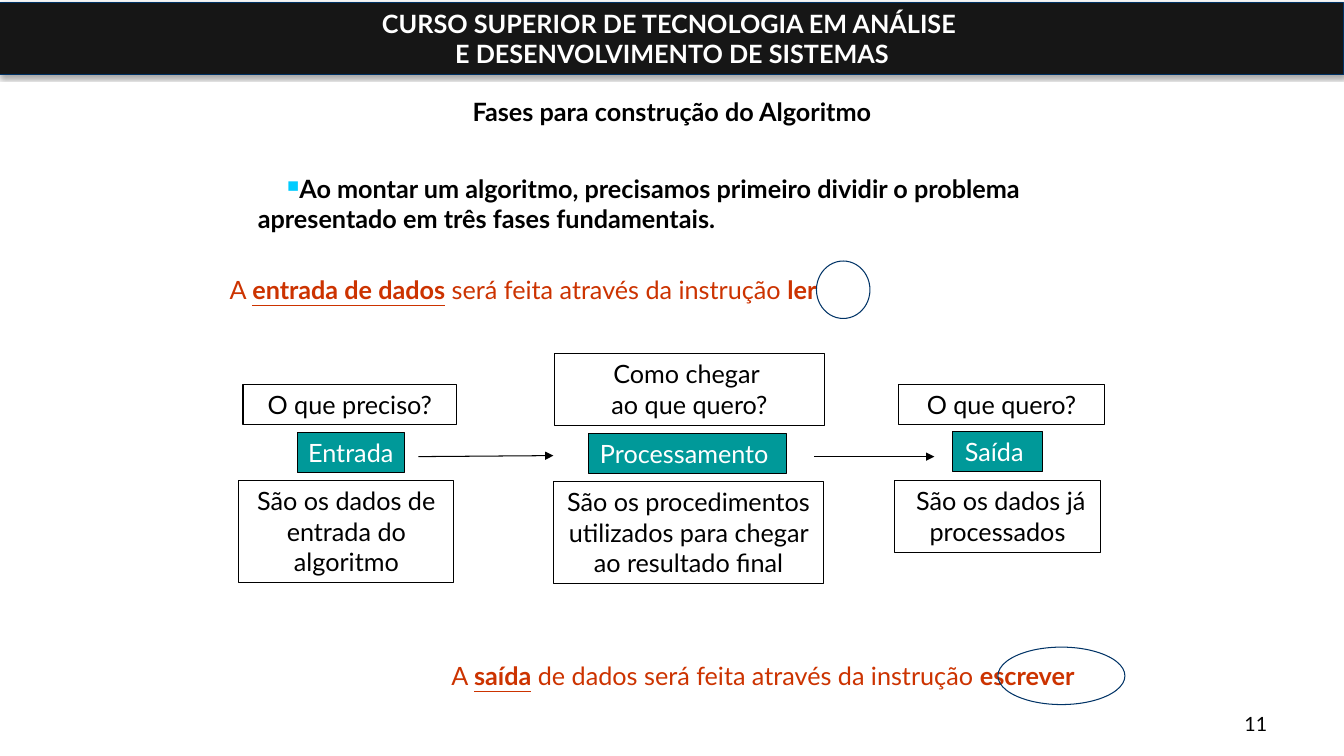
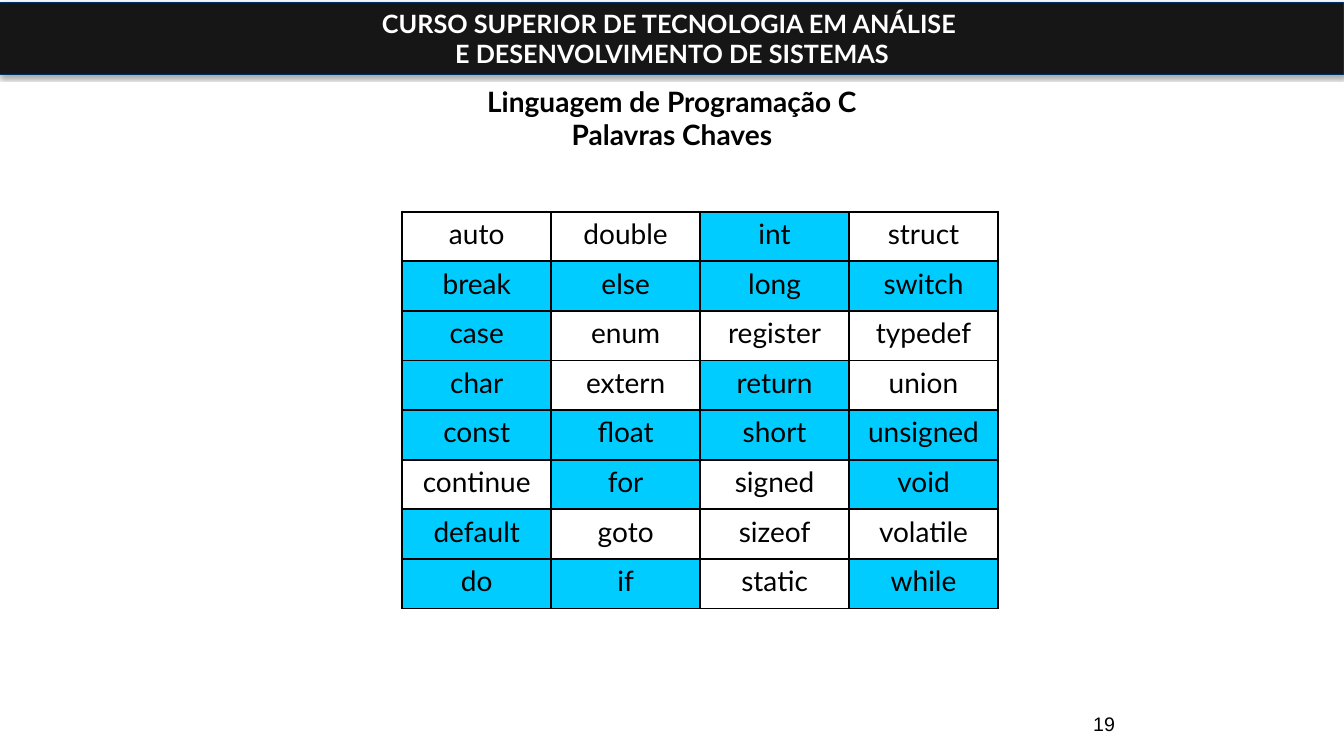
from lxml import etree
from pptx import Presentation
from pptx.dml.color import RGBColor
from pptx.enum.shapes import MSO_CONNECTOR, MSO_SHAPE
from pptx.enum.text import MSO_ANCHOR, PP_ALIGN
from pptx.oxml.ns import qn
from pptx.util import Inches, Pt

RECT, OVAL = MSO_SHAPE.RECTANGLE, MSO_SHAPE.OVAL
LINE = MSO_CONNECTOR.STRAIGHT
LEFT, MID, RIGHT = PP_ALIGN.LEFT, PP_ALIGN.CENTER, PP_ALIGN.RIGHT
TOP, HALF, LOW = MSO_ANCHOR.TOP, MSO_ANCHOR.MIDDLE, MSO_ANCHOR.BOTTOM

WIDE, HIGH = Inches(13.33), Inches(7.5)
FONT = "Lato"
HUES = {
    "band": "161616", "edge": "003264", "ring": "003366", "ink": "000000",
    "white": "FFFFFF", "teal": "009999", "red": "CC3300", "cyan": "00CCFF",
}
COURSE = ["CURSO SUPERIOR DE TECNOLOGIA EM ANÁLISE ",
          "E DESENVOLVIMENTO DE SISTEMAS"]
WORDS = [
    "auto double int struct",
    "break else long switch",
    "case enum register typedef",
    "char extern return union",
    "const float short unsigned",
    "continue for signed void",
    "default goto sizeof volatile",
    "do if static while",
]
PLAIN = set("auto double struct enum register typedef extern union continue "
            "signed goto sizeof volatile static".split())


def hue(key):
    return RGBColor.from_string(HUES[key])


def across(share):
    return round(WIDE * share / 100)


def down(share):
    return round(HIGH * share / 100)


def area(box):
    x, y, w, h = box
    return across(x), down(y), across(w), down(h)


def node(root, tag, **attrs):
    return etree.SubElement(root, qn(tag), attrs)


def tint(root, key):
    return node(node(root, "a:solidFill"), "a:srgbClr", val=HUES[key])


def write(frame, paras, ink="ink", size=18, align=MID, anchor=TOP,
          font=FONT, bold=False, wrap=True):
    frame.word_wrap = wrap
    frame.vertical_anchor = anchor
    for i, runs in enumerate(paras):
        para = frame.paragraphs[0] if i == 0 else frame.add_paragraph()
        para.alignment = align
        for text, mark in [(runs, "")] if isinstance(runs, str) else runs:
            run = para.add_run()
            run.text = text
            run.font.name = font
            run.font.size = Pt(size)
            run.font.bold = bold or "b" in mark
            run.font.underline = "u" in mark
            run.font.color.rgb = hue(ink)


def label(slide, box, paras, **style):
    frame = slide.shapes.add_textbox(*area(box)).text_frame
    write(frame, paras, **style)
    return frame


def shape(slide, kind, box, fill=None, edge="ink"):
    item = slide.shapes.add_shape(kind, *area(box))
    item.shadow.inherit = False
    if fill:
        item.fill.solid()
        item.fill.fore_color.rgb = hue(fill)
    else:
        item.fill.background()
    item.line.color.rgb = hue(edge)
    item.line.width = Pt(0.75)
    return item


def panel(slide, box, paras, fill=None, **style):
    write(shape(slide, RECT, box, fill).text_frame, paras, **style)


def arrow(slide, x, y, end, stop):
    item = slide.shapes.add_connector(
        LINE, across(x), down(y), across(end), down(stop))
    item.line.color.rgb = hue("ink")
    item.line.width = Pt(0.75)
    node(item.line._get_or_add_ln(), "a:tailEnd", type="triangle")
    node(item._element.spPr, "a:effectLst")


def bullet(para):
    props = para._p.get_or_add_pPr()
    props.set("marL", str(Inches(0.2)))
    props.set("indent", str(Inches(0.29)))
    node(node(props, "a:buClr"), "a:srgbClr", val=HUES["cyan"])
    node(props, "a:buSzPct", val="65000")
    node(props, "a:buChar", char="■")


def band(slide):
    bar = shape(slide, RECT, (0, 0.4, 100, 9.47), "band", "edge")
    glow = node(bar._element.spPr.find(qn("a:effectLst")), "a:outerShdw",
                blurRad=str(Pt(3.1)), dist=str(Pt(1.8)), dir="5400000",
                rotWithShape="0")
    node(tint_free(glow), "a:alpha", val="35000")
    write(bar.text_frame, COURSE, "white", anchor=HALF, bold=True)


def tint_free(root):
    return node(root, "a:srgbClr", val=HUES["ink"])


def page(deck, number, x, w, font):
    slide = deck.slides.add_slide(deck.slide_layouts[6])
    band(slide)
    label(slide, (x, 91.07, w, 6.93), [number], size=14, align=RIGHT,
          anchor=LOW, font=font)
    return slide


def frame_cell(cell):
    props = cell._tc.get_or_add_tcPr()
    for i, side in enumerate(("a:lnL", "a:lnR", "a:lnT", "a:lnB")):
        edge = etree.Element(qn(side), {"w": str(Pt(1.5))})
        tint(edge, "ink")
        props.insert(i, edge)


def grid(slide, box, rows):
    cols = len(rows[0].split())
    table = slide.shapes.add_table(len(rows), cols, *area(box)).table
    table.first_row = table.horz_banding = False
    for r, row in enumerate(rows):
        for c, word in enumerate(row.split()):
            cell = table.cell(r, c)
            cell.fill.solid()
            cell.fill.fore_color.rgb = hue("white" if word in PLAIN else "cyan")
            write(cell.text_frame, [word], size=20)
            frame_cell(cell)


def phases(deck):
    slide = page(deck, "11", 71.7, 23.33, FONT)
    label(slide, (12.5, 12.13, 75, 11.47),
          ["Fases para construção do Algoritmo"], bold=True)
    body = label(slide, (16.95, 22.27, 67.5, 9),
                 ["Ao montar um algoritmo, precisamos primeiro dividir o "
                  "problema apresentado em três fases fundamentais."],
                 align=LEFT, bold=True)
    bullet(body.paragraphs[0])

    for box, name in [
        ((22.13, 57.2, 7.95, 5.33), "Entrada"),
        ((43.8, 57.33, 14.7, 5.33), "Processamento "),
        ((70.88, 57.07, 6.68, 5.33), "Saída "),
    ]:
        panel(slide, box, [name], "teal", ink="white", anchor=HALF, wrap=False)
    arrow(slide, 31.13, 60.4, 41.18, 60.27)
    arrow(slide, 60.6, 60.4, 69.53, 60.4)
    for box, paras in [
        ((17.78, 63.6, 15.98, 13.47), ["São os dados de entrada do algoritmo"]),
        ((41.18, 63.73, 20.1, 13.47),
         ["São os procedimentos utilizados para chegar ao resultado final"]),
        ((66.53, 63.6, 15.38, 9.47), [" São os dados já processados"]),
        ((18.08, 50.8, 15.9, 5.33), ["O que preciso?"]),
        ((41.25, 46.8, 20.1, 9.47), ["Como chegar ", "ao que quero?"]),
        ((66.83, 50.8, 15.38, 5.33), ["O que quero?"]),
    ]:
        panel(slide, box, paras)

    for box, runs in [
        ((16.35, 35.6, 48.68, 5.33),
         [("A ", ""), ("entrada de dados", "bu"),
          (" será feita através da instrução ", ""), ("ler", "b")]),
        ((32.85, 86.67, 50.93, 5.33),
         [("A ", ""), ("saída", "bu"),
          (" de dados será feita através da instrução ", ""),
          ("escrever", "b")]),
    ]:
        label(slide, box, [runs], ink="red", align=LEFT)
    for box in [(60.75, 34.53, 3.98, 7.6), (74.25, 85.6, 9.45, 7.6)]:
        shape(slide, OVAL, box, edge="ring")


def keywords(deck):
    slide = page(deck, "19", 66.23, 17.48, "Arial")
    label(slide, (5, 5.6, 90, 20),
          ["Linguagem de Programação C", "Palavras Chaves"],
          size=20, anchor=HALF, bold=True)
    grid(slide, (29.93, 28, 44.33, 52.53), WORDS)


def main():
    deck = Presentation()
    deck.slide_width, deck.slide_height = WIDE, HIGH
    phases(deck)
    keywords(deck)
    deck.save("out.pptx")


if __name__ == "__main__":
    main()
